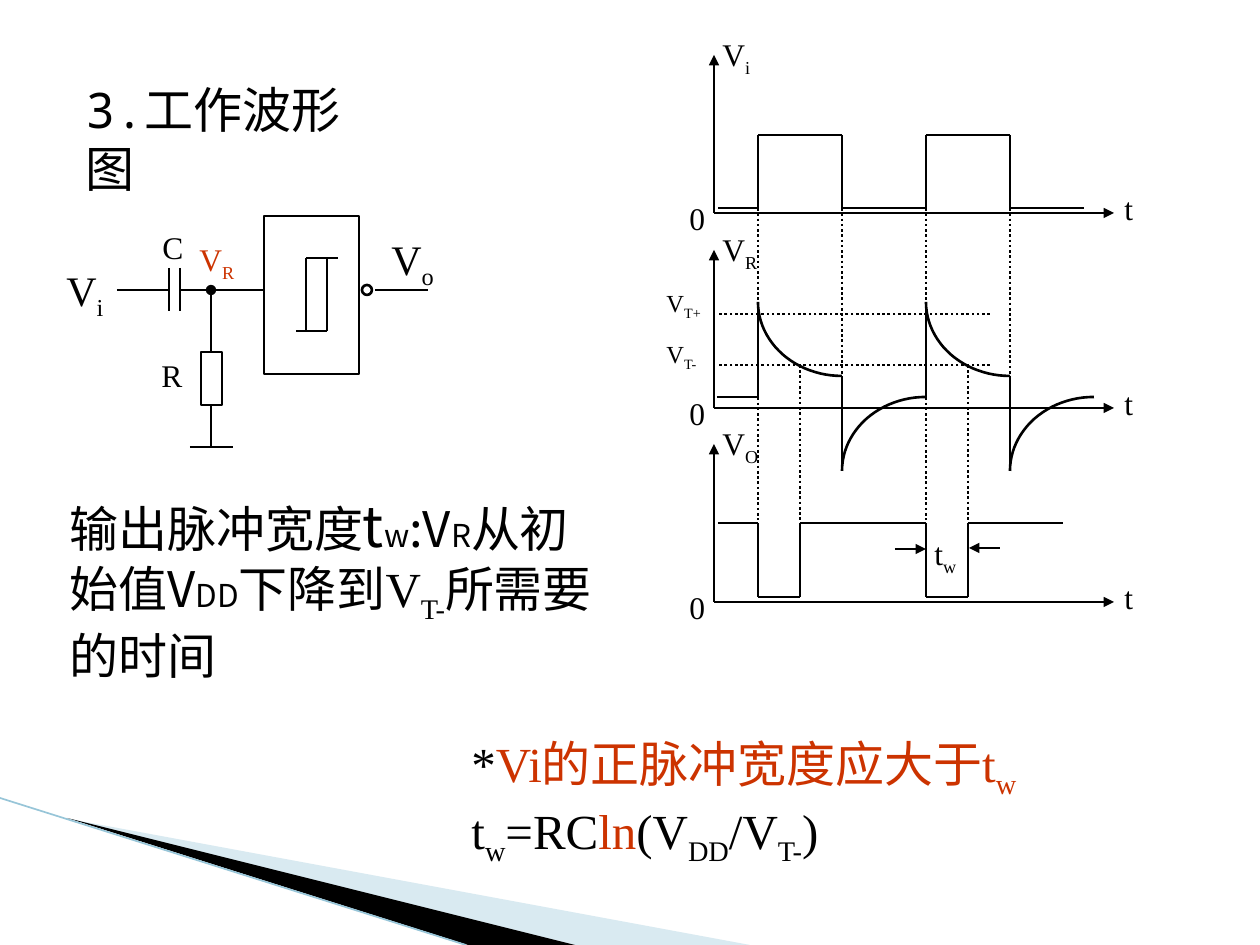
from itertools import pairwise
from math import cos, pi, sin

from lxml.etree import SubElement
from pptx import Presentation
from pptx.dml.color import RGBColor
from pptx.enum.dml import MSO_LINE
from pptx.enum.shapes import MSO_CONNECTOR, MSO_SHAPE
from pptx.enum.text import MSO_ANCHOR, MSO_AUTO_SIZE, PP_ALIGN
from pptx.oxml.ns import qn
from pptx.util import Pt

SCALE = 914400 / 126
COLORS = {"ink": "000000", "accent": "CC3300", "pale": "A0CBDC", "edge": "97C5D8"}
SERIF = "Times New Roman"
SANS = "Noto Sans CJK SC"
MONO = "Noto Sans Mono"
PERIOD = 168
RISES = (758, 758 + PERIOD)
HALF = 84
PULSE = 42
AXIS_X = 714
AXIS_YS = (213, 408, 602)


def px(value):
    return round(value * SCALE)


def color(name):
    return RGBColor.from_string(COLORS[name])


def draw_line(shapes, start, end, dotted=False, head=None, tail=None, ink="ink", width=1.5):
    line = shapes.add_connector(MSO_CONNECTOR.STRAIGHT, *map(px, (*start, *end)))
    line.line.color.rgb = color(ink)
    line.line.width = Pt(width)
    if dotted:
        line.line.dash_style = MSO_LINE.ROUND_DOT
    for tag, kind in (("a:headEnd", head), ("a:tailEnd", tail)):
        if kind:
            SubElement(line.line._get_or_add_ln(), qn(tag), type=kind)
    SubElement(line._element.spPr, qn("a:effectLst"))


def draw_trace(shapes, points):
    for start, end in pairwise(points):
        draw_line(shapes, start, end)


def draw_outline(shapes, kind, left, top, width, height):
    outline = shapes.add_shape(kind, *map(px, (left, top, width, height)))
    outline.shadow.inherit = False
    outline.fill.background()
    outline.line.color.rgb = color("ink")
    outline.line.width = Pt(1.5)


def draw_curve(shapes, center_x, center_y, height):
    steps = 24
    angles = [pi / 2 * step / steps for step in range(steps + 1)]
    points = [(px(center_x - HALF * cos(a)), px(center_y + height * sin(a))) for a in angles]
    builder = shapes.build_freeform(*points[0], scale=1.0)
    builder.add_line_segments(points[1:], close=False)
    curve = builder.convert_to_shape()
    curve.shadow.inherit = False
    curve.fill.background()
    curve.line.color.rgb = color("ink")
    curve.line.width = Pt(1.5)


def draw_band(shapes, points, fill, opacity=100):
    corners = [(px(x), px(y)) for x, y in points]
    builder = shapes.build_freeform(*corners[0], scale=1.0)
    builder.add_line_segments(corners[1:])
    band = builder.convert_to_shape()
    band.shadow.inherit = False
    band.line.fill.background()
    band.fill.solid()
    band.fill.fore_color.rgb = color(fill)
    shade = band._element.spPr.find(qn("a:solidFill"))[0]
    SubElement(shade, qn("a:alpha"), val=str(opacity * 1000))


def format_run(run, size, face, ink="ink", sub=False):
    run.font.size = Pt(size)
    run.font.name = face
    run.font.color.rgb = color(ink)
    SubElement(run.font._element, qn("a:ea"), typeface=SANS)
    if sub:
        run.font._element.set("baseline", "-25000")


def add_run(paragraph, text, *style):
    run = paragraph.add_run()
    run.text = text
    format_run(run, *style)


def add_text(shapes, left, top, width, height, lines, wrap=True):
    frame = shapes.add_textbox(*map(px, (left, top, width, height))).text_frame
    frame.word_wrap = wrap
    for index, line in enumerate(lines):
        paragraph = frame.add_paragraph() if index else frame.paragraphs[0]
        for text, *style in line:
            add_run(paragraph, text, *style)


def add_label(shapes, left, top, width, base, sub="", size=18, ink="ink"):
    runs = [(base, size, SERIF, ink)]
    if sub:
        runs.append((sub, size, SERIF, ink, True))
    add_text(shapes, left, top, width, size * 3, [runs], wrap=False)


def draw_backdrop(shapes):
    draw_band(shapes, [(69, 819), (750, 945), (575, 945)], "pale", 40)
    draw_band(shapes, [(67, 818), (575, 945), (468, 945)], "ink")
    draw_line(shapes, (0, 798), (466, 945), ink="edge", width=0.95)


def draw_circuit(shapes):
    draw_outline(shapes, MSO_SHAPE.RECTANGLE, 264, 216, 95, 158)
    draw_outline(shapes, MSO_SHAPE.RECTANGLE, 201, 352, 21, 53)
    draw_outline(shapes, MSO_SHAPE.OVAL, 362, 285, 10, 10)
    draw_trace(shapes, [(338, 258), (306, 258), (306, 331)])
    draw_trace(shapes, [(327, 258), (327, 331), (296, 331)])
    for start, end in ((117, 169), (180, 264), (375, 428)):
        draw_line(shapes, (start, 290), (end, 290))
    for plate_x in (169, 180):
        draw_line(shapes, (plate_x, 268), (plate_x, 311))
    draw_line(shapes, (211, 290), (211, 352), head="oval")
    draw_line(shapes, (211, 405), (211, 447))
    draw_line(shapes, (190, 447), (233, 447))
    add_label(shapes, 54, 258, 64, "V", "i", 24)
    add_label(shapes, 379, 227, 69, "V", "o", 24)
    add_label(shapes, 150, 222, 50, "C")
    add_label(shapes, 149, 350, 50, "R")
    add_label(shapes, 187, 234, 67, "V", "R", ink="accent")


def draw_axes(shapes):
    for axis_y, sub, width in zip(AXIS_YS, ("i", "R", "O"), (54, 63, 64)):
        draw_line(shapes, (AXIS_X, axis_y), (AXIS_X, axis_y - 158), tail="triangle")
        draw_line(shapes, (AXIS_X, axis_y), (1114, axis_y), tail="triangle")
        add_label(shapes, 710, axis_y - 184, width, "V", sub)
        add_label(shapes, 1112, axis_y - 30, 37, "t")
        add_label(shapes, 677, axis_y - 20, 42, "0")


def draw_guides(shapes):
    for level, sub, width in ((314, "T+", 63), (365, "T-", 59)):
        draw_line(shapes, (990, level), (718, level), dotted=True)
        add_label(shapes, 654, level - 32, width, "V", sub, 14)
    for rise in RISES:
        draw_line(shapes, (rise, 208), (rise, 520), dotted=True)
        draw_line(shapes, (rise + HALF, 208), (rise + HALF, 387), dotted=True)
        draw_line(shapes, (rise + PULSE, 365), (rise + PULSE, 523), dotted=True)


def draw_waveforms(shapes):
    draw_axes(shapes)
    draw_guides(shapes)
    input_points = [(718, 208)]
    output_points = [(718, 523)]
    for rise in RISES:
        fall, pulse_end = rise + HALF, rise + PULSE
        input_points += [(rise, 208), (rise, 135), (fall, 135), (fall, 208)]
        output_points += [(rise, 523), (rise, 597), (pulse_end, 597), (pulse_end, 523)]
        draw_line(shapes, (rise, 397), (rise, 302))
        draw_curve(shapes, fall, 302, 74)
        draw_line(shapes, (fall, 471), (fall, 377))
        draw_curve(shapes, fall + HALF, 471, -74)
    draw_trace(shapes, input_points + [(1084, 208)])
    draw_trace(shapes, output_points + [(1063, 523)])
    draw_line(shapes, (717, 397), (758, 397))
    draw_line(shapes, (895, 549), (926, 549), tail="triangle")
    draw_line(shapes, (1000, 548), (969, 548), tail="triangle")
    add_label(shapes, 922, 528, 52, "t", "w")


def set_title(title):
    title.left, title.top, title.width, title.height = map(px, (73, 73, 311, 72))
    frame = title.text_frame
    frame.text = "3.工作波形图"
    frame.word_wrap = True
    frame.auto_size = MSO_AUTO_SIZE.NONE
    frame.vertical_anchor = MSO_ANCHOR.TOP
    frame.paragraphs[0].alignment = PP_ALIGN.LEFT
    format_run(frame.paragraphs[0].runs[0], 28, MONO)


def add_explanations(shapes):
    definition = [("输出脉冲宽度", 28, SANS), ("t", 32, SANS), ("w", 18, SANS),
                  (":V", 28, SANS), ("R", 18, SANS), ("从初始值V", 28, SANS),
                  ("DD", 18, SANS), ("下降到", 28, SANS), ("V", 28, SERIF),
                  ("T-", 28, SERIF, "ink", True), ("所需要的时间", 28, SANS)]
    add_text(shapes, 57, 485, 563, 199, [definition])
    condition = [("*", "ink", False), ("Vi的正脉冲宽度应大于t", "accent", False),
                 ("w", "accent", True)]
    formula = [("t", "ink", False), ("w", "ink", True), ("=RC", "ink", False),
               ("ln", "accent", False), ("(V", "ink", False), ("DD", "ink", True),
               ("/V", "ink", False), ("T-", "ink", True), (")", "ink", False)]
    lines = [[(text, 28, SERIF, ink, sub) for text, ink, sub in line]
             for line in (condition, formula)]
    add_text(shapes, 459, 727, 774, 131, lines)


def main():
    deck = Presentation()
    deck.slide_width, deck.slide_height = px(1260), px(945)
    slide = deck.slides.add_slide(deck.slide_layouts[5])
    draw_backdrop(slide.shapes)
    draw_circuit(slide.shapes.add_group_shape().shapes)
    draw_waveforms(slide.shapes.add_group_shape().shapes)
    set_title(slide.shapes.title)
    add_explanations(slide.shapes)
    deck.save("out.pptx")


if __name__ == "__main__":
    main()
